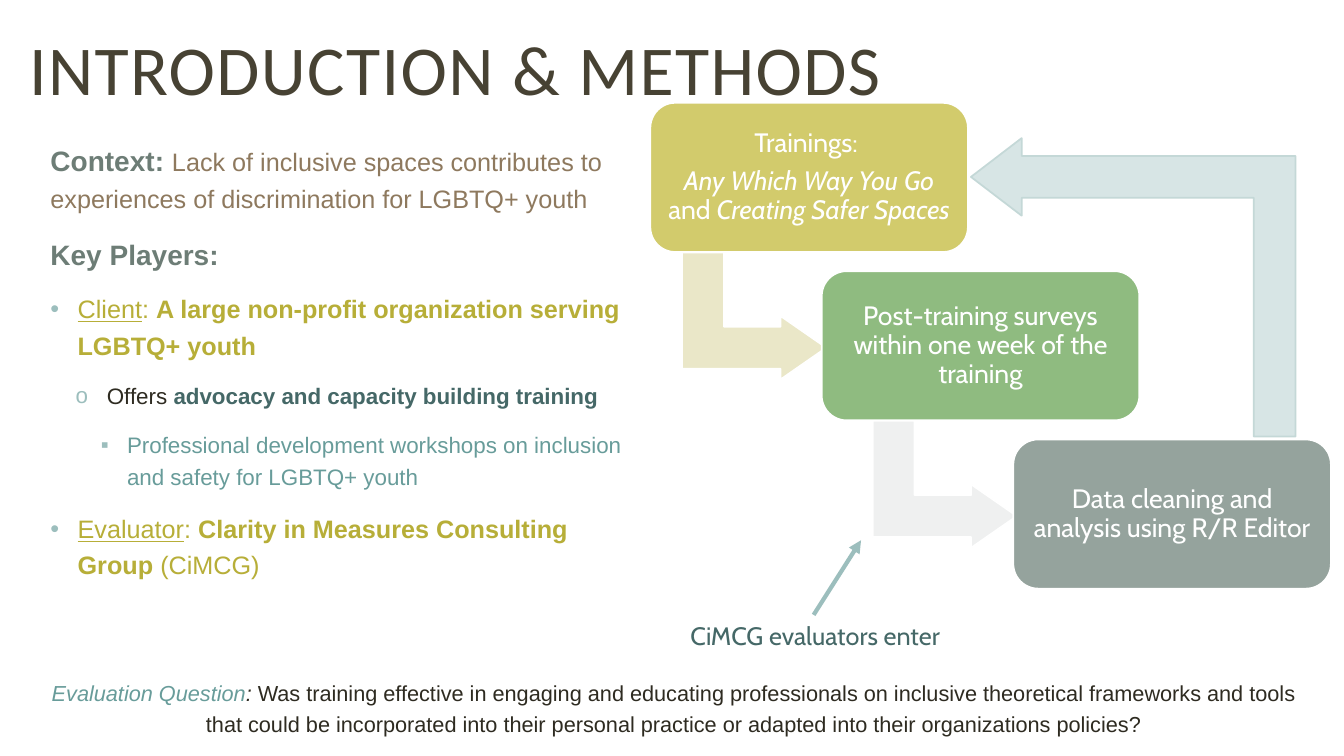
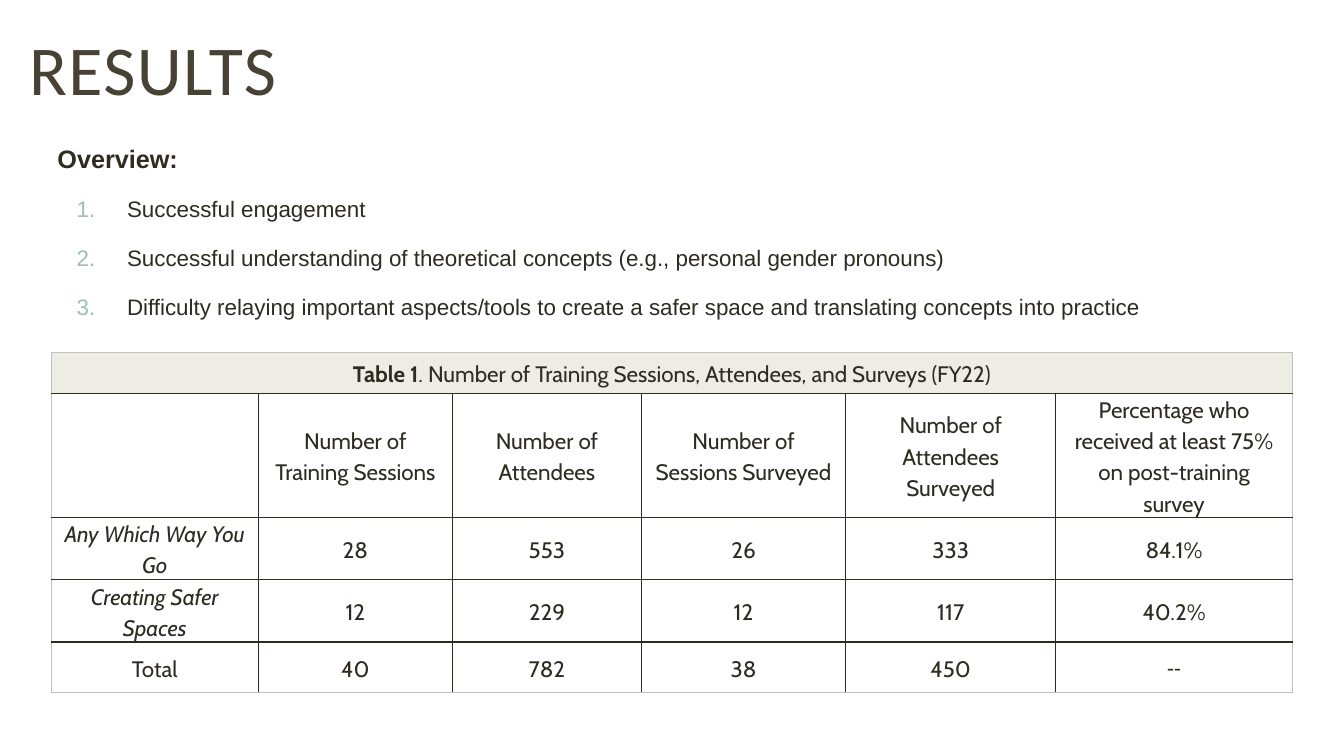
from lxml.etree import SubElement
from pptx import Presentation
from pptx.dml.color import RGBColor
from pptx.enum.shapes import MSO_CONNECTOR as CONNECTOR, MSO_SHAPE as SHAPE
from pptx.enum.text import MSO_ANCHOR as ANCHOR, PP_ALIGN as ALIGN
from pptx.oxml.ns import qn
from pptx.util import Pt

PX = 9144
SLIDE_SIZE = (1333, 750)
TITLE_AREA = (19, 19, 1063, 112)

WHITE = RGBColor(0xFF, 0xFF, 0xFF)
BROWN = RGBColor(0x47, 0x42, 0x33)
INK = RGBColor(0x2E, 0x2B, 0x21)
SAGE = RGBColor(0x6D, 0x7D, 0x76)
TAN = RGBColor(0x8E, 0x79, 0x5E)
OLIVE = RGBColor(0xB7, 0xAE, 0x38)
DEEP_TEAL = RGBColor(0x45, 0x68, 0x67)
TEAL = RGBColor(0x68, 0x9C, 0x9A)
PALE_TEAL = RGBColor(0x9C, 0xBE, 0xBD)
MIST = RGBColor(0xD7, 0xE5, 0xE5)
MIST_EDGE = RGBColor(0xC4, 0xD8, 0xD7)
YELLOW = RGBColor(0xD2, 0xCB, 0x6C)
PALE_YELLOW = RGBColor(0xEA, 0xE7, 0xC8)
GREEN = RGBColor(0x8F, 0xBB, 0x80)
GRAY_GREEN = RGBColor(0x95, 0xA3, 0x9D)
PALE_GRAY = RGBColor(0xEF, 0xF0, 0xF0)
BAND = RGBColor(0xEE, 0xED, 0xE5)
GRID_EDGE = RGBColor(0xC0, 0xC0, 0xC0)

PLAIN, NUMBER = (None, 0, 0), ("1.", 69, 50)
DOT, RING, SQUARE = ("•", 27, 27), ("o", 56, 31), ("▪", 76, 26)

CONTEXT = [
    (PLAIN, [("Context: ", 20, SAGE, "b"),
             ("Lack of inclusive spaces contributes to experiences of "
              "discrimination for LGBTQ+ youth", 18, TAN, "")]),
    (PLAIN, [("Key Players:", 20, SAGE, "b")]),
    (DOT, [("Client", 18, OLIVE, "u"), (": ", 18, OLIVE, ""),
           ("A large non-profit organization serving LGBTQ+ youth", 18, OLIVE, "b")]),
    (RING, [("Offers ", 16, INK, ""),
            ("advocacy and capacity building training", 16, DEEP_TEAL, "b")]),
    (SQUARE, [("Professional development workshops on inclusion and safety "
               "for LGBTQ+ youth", 16, TEAL, "")]),
    (DOT, [("Evaluator", 18, OLIVE, "u"), (": ", 18, OLIVE, ""),
           ("Clarity in Measures Consulting Group ", 18, OLIVE, "b"),
           ("(CiMCG)", 18, OLIVE, "")]),
]
QUESTION = [
    (PLAIN, [("Evaluation Question", 15.5, TEAL, "i"), (": ", 15.5, INK, "i"),
             ("Was training effective in engaging and educating professionals on "
              "inclusive theoretical frameworks and tools that could be incorporated "
              "into their personal practice or adapted into their organizations "
              "policies?", 15.5, INK, "")]),
]
STEPS = [
    (645, YELLOW, [[("Trainings: ", "")],
                   [("Any Which Way You Go ", "i"), ("and ", ""),
                    ("Creating Safer Spaces", "i")]]),
    (815, GREEN, [[("Post-training surveys within one week of the training", "")]]),
    (1005, GRAY_GREEN, [[("Data cleaning and analysis using R/R Editor", "")]]),
]
STEP_TOP, STEP_PITCH, STEP_WIDTH, STEP_HEIGHT = 102, 167, 315, 148
STEP_ARROWS = [(685, PALE_YELLOW), (874, PALE_GRAY)]
STEP_ARROW_DROP = 140

OVERVIEW = [(PLAIN, [("Overview:", 18, INK, "b")])] + [
    (NUMBER, [(finding, 16, INK, "")]) for finding in (
        "Successful engagement",
        "Successful understanding of theoretical concepts (e.g., personal gender pronouns)",
        "Difficulty relaying important aspects/tools to create a safer space and "
        "translating concepts into practice",
    )
]
CAPTION = [("Table 1", "b"),
           (". Number of Training Sessions, Attendees, and Surveys (FY22)", "")]
ROWS = [
    ["", "Number of Training Sessions", "Number of Attendees",
     "Number of Sessions Surveyed", "Number of Attendees Surveyed",
     "Percentage who received at least 75% on post-training survey"],
    ["Any Which Way You Go", "28", "553", "26", "333", "84.1%"],
    ["Creating Safer Spaces", "12", "229", "12", "117", "40.2%"],
    ["Total", "40", "782", "38", "450", "--"],
]
ITALIC_ROWS = (2, 3)
COLUMN_WIDTHS = [205, 193, 187, 203, 208, 235]
ROW_HEIGHTS = [40, 123, 62, 62, 50]


def emu(*lengths):
    return [round(length * PX) for length in lengths]


def set_margins(target, left, top, right, bottom):
    (target.margin_left, target.margin_top,
     target.margin_right, target.margin_bottom) = emu(left, top, right, bottom)


def set_bullet(para, bullet):
    mark, left, hang = bullet
    if mark is None:
        return
    props = para._p.get_or_add_pPr()
    props.set("marL", str(left * PX))
    props.set("indent", str(-hang * PX))
    color = SubElement(props, qn("a:buClr"))
    SubElement(color, qn("a:srgbClr"), val=str(PALE_TEAL))
    SubElement(props, qn("a:buFont"), typeface="Arial")
    if mark == "1.":
        SubElement(props, qn("a:buAutoNum"), type="arabicPeriod")
    else:
        SubElement(props, qn("a:buChar"), char=mark)


def write(frame, paragraphs, font, align=ALIGN.LEFT, line=1.0, before=0, after=0):
    for index, (bullet, spans) in enumerate(paragraphs):
        para = frame.add_paragraph() if index else frame.paragraphs[0]
        para.alignment = align
        para.line_spacing = line
        para.space_before, para.space_after = Pt(before), Pt(after)
        set_bullet(para, bullet)
        for text, size, color, flags in spans:
            span = para.add_run()
            span.text = text
            span.font.name, span.font.size = font, Pt(size)
            span.font.color.rgb = color
            span.font.bold = "b" in flags
            span.font.italic = "i" in flags
            span.font.underline = "u" in flags


def add_text(page, area, paragraphs, font, margins=None, anchor=ANCHOR.TOP,
             fill=None, **style):
    box = page.shapes.add_textbox(*emu(*area))
    if fill is not None:
        box.fill.solid()
        box.fill.fore_color.rgb = fill
    frame = box.text_frame
    frame.word_wrap = True
    frame.vertical_anchor = anchor
    if margins:
        set_margins(frame, *margins)
    write(frame, paragraphs, font, **style)
    return frame


def add_body(page, area, paragraphs, margins=(5, 5, 5, 5), align=ALIGN.LEFT):
    add_text(page, area, paragraphs, "Arial", margins, fill=WHITE,
             align=align, line=1.2, before=6, after=6)


def add_page(deck, title):
    page = deck.slides.add_slide(deck.slide_layouts[6])
    frame = add_text(page, TITLE_AREA, [(PLAIN, [(title, 50, BROWN, "")])],
                     "Calibri", anchor=ANCHOR.MIDDLE, fill=WHITE, line=0.8)
    frame.paragraphs[0].runs[0].font._element.set("spc", "100")
    return page


def add_shape(page, kind, area, fill, edge=WHITE, adjust=(), rotation=0):
    shape = page.shapes.add_shape(kind, *emu(*area))
    shape.shadow.inherit = False
    shape.fill.solid()
    shape.fill.fore_color.rgb = fill
    shape.line.color.rgb = edge
    shape.line.width = Pt(1.25)
    shape.rotation = rotation
    for index, value in enumerate(adjust):
        shape.adjustments[index] = value
    return shape


def add_pointer(page, start, end):
    pointer = page.shapes.add_connector(CONNECTOR.STRAIGHT, *emu(*start, *end))
    pointer.line.color.rgb = PALE_TEAL
    pointer.line.width = Pt(3)
    SubElement(pointer.line._get_or_add_ln(), qn("a:tailEnd"), type="triangle")
    SubElement(pointer._element.spPr, qn("a:effectLst"))


def add_flow(page):
    for index, (left, fill) in enumerate(STEP_ARROWS):
        top = STEP_TOP + STEP_ARROW_DROP + index * STEP_PITCH
        add_shape(page, SHAPE.BENT_UP_ARROW, (left, top, 126, 143), fill,
                  adjust=(0.33, 0.25, 0.36), rotation=90)
    for index, (left, fill, lines) in enumerate(STEPS):
        area = (left, STEP_TOP + index * STEP_PITCH, STEP_WIDTH, STEP_HEIGHT)
        frame = add_shape(page, SHAPE.ROUNDED_RECTANGLE, area, fill).text_frame
        frame.word_wrap = True
        frame.vertical_anchor = ANCHOR.MIDDLE
        set_margins(frame, 8, 8, 8, 8)
        paragraphs = [(PLAIN, [(text, 19, WHITE, flags) for text, flags in spans])
                      for spans in lines]
        write(frame, paragraphs, "Cabin", ALIGN.CENTER, line=0.9, after=7)
    add_pointer(page, (807, 610), (854, 536))
    add_text(page, (675, 610, 268, 40),
             [(PLAIN, [("CiMCG evaluators enter", 18, DEEP_TEAL, "")])], "Cabin")
    add_shape(page, SHAPE.BENT_UP_ARROW, (976, 124, 296, 322), MIST, MIST_EDGE,
              adjust=(0.14, 0.13, 0.17), rotation=270)


def set_borders(cell, outer_sides):
    props = cell._tc.get_or_add_tcPr()
    for index, side in enumerate(("L", "R", "T", "B")):
        color, width = (GRID_EDGE, 0.75) if side in outer_sides else (INK, 1)
        border = SubElement(props, qn(f"a:ln{side}"), w=str(Pt(width)))
        fill = SubElement(border, qn("a:solidFill"))
        SubElement(fill, qn("a:srgbClr"), val=str(color))
        props.remove(border)
        props.insert(index, border)


def fill_cell(cell, spans, fill, margins, font="Cabin"):
    cell.fill.solid()
    cell.fill.fore_color.rgb = fill
    cell.vertical_anchor = ANCHOR.MIDDLE
    set_margins(cell, *margins)
    styled = [(text, 16, INK, flags) for text, flags in spans if text]
    write(cell.text_frame, [(PLAIN, styled)], font, ALIGN.CENTER, line=1.15)


def add_results_table(page):
    row_count, column_count = len(ROW_HEIGHTS), len(COLUMN_WIDTHS)
    area = (51, 350, sum(COLUMN_WIDTHS), sum(ROW_HEIGHTS))
    table = page.shapes.add_table(row_count, column_count, *emu(*area)).table
    table.first_row = table.horz_banding = False
    for column, width in zip(table.columns, COLUMN_WIDTHS):
        column.width = width * PX
    for row, height in zip(table.rows, ROW_HEIGHTS):
        row.height = height * PX
    table.cell(0, 0).merge(table.cell(0, column_count - 1))
    fill_cell(table.cell(0, 0), CAPTION, BAND, (9, 4, 9, 4))
    for r, texts in enumerate(ROWS, 1):
        for c, text in enumerate(texts):
            flags = "i" if c == 0 and r in ITALIC_ROWS else ""
            font = "Calibri" if text == "--" else "Cabin"
            fill_cell(table.cell(r, c), [(text, flags)], WHITE, (10, 0, 10, 0), font)
    for r in range(row_count):
        for c in range(column_count):
            edges = {"L": c == 0 or r == 0, "R": c == column_count - 1 or r == 0,
                     "T": r == 0, "B": r == row_count - 1}
            set_borders(table.cell(r, c), [side for side in edges if edges[side]])


def main():
    deck = Presentation()
    deck.slide_width, deck.slide_height = emu(*SLIDE_SIZE)

    methods = add_page(deck, "INTRODUCTION & METHODS")
    add_body(methods, (45, 131, 601, 600), CONTEXT)
    add_flow(methods)
    add_body(methods, (19, 664, 1296, 70), QUESTION, (16, 5, 14, 5), ALIGN.CENTER)

    results = add_page(deck, "RESULTS")
    add_body(results, (52, 131, 1231, 244), OVERVIEW)
    add_results_table(results)

    deck.save("out.pptx")


if __name__ == "__main__":
    main()
